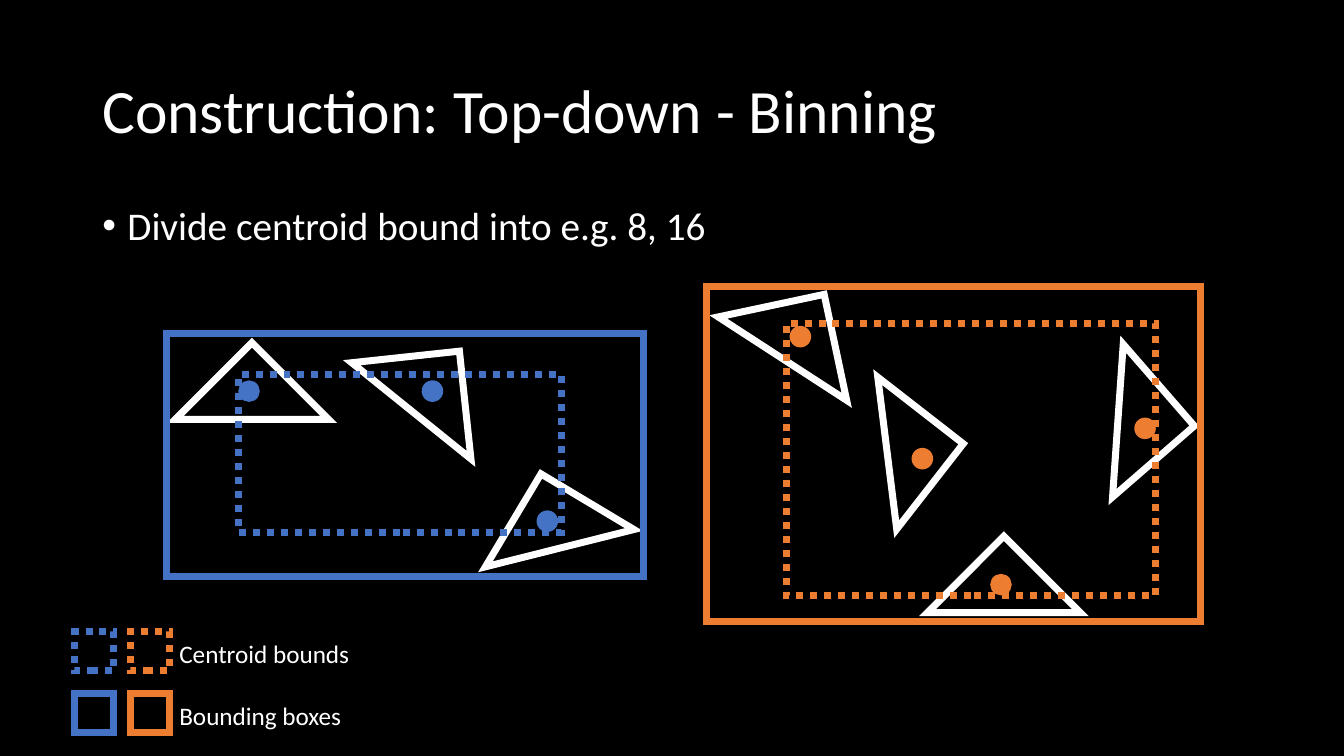
"""Build the slide on top-down construction with binning."""
from lxml.etree import SubElement
from pptx import Presentation
from pptx.dml.color import RGBColor
from pptx.enum.dml import MSO_LINE
from pptx.enum.shapes import MSO_SHAPE
from pptx.enum.text import MSO_ANCHOR
from pptx.oxml.ns import qn
from pptx.util import Pt

BLUE, ORANGE, WHITE, BLACK = "4472C4", "ED7D31", "FFFFFF", "000000"


def shape(kind, box, color, width=5, fill=None, turn=0, dash=None):
    """Add an outlined preset shape."""
    item = slide.shapes.add_shape(kind, *[Pt(v) for v in box])
    item.shadow.inherit = False
    item.rotation = turn
    if fill:
        item.fill.solid()
        item.fill.fore_color.rgb = RGBColor.from_string(fill)
    else:
        item.fill.background()
    item.line.color.rgb = RGBColor.from_string(color)
    item.line.width = Pt(width)
    if dash:
        item.line.dash_style = dash
    SubElement(item.line._get_or_add_ln(), qn("a:miter"), lim="800000")


def write(text, box, size, wrap=True, anchor=MSO_ANCHOR.TOP, space=1, bullet=False):
    """Add a text box with one paragraph."""
    frame = slide.shapes.add_textbox(*[Pt(v) for v in box]).text_frame
    frame.word_wrap = wrap
    frame.vertical_anchor = anchor
    par = frame.paragraphs[0]
    par.text = text
    par.line_spacing = space
    if bullet:
        props = par._p.get_or_add_pPr()
        props.set("marL", str(Pt(18)))
        props.set("indent", str(Pt(-18)))
        SubElement(props, qn("a:buFont"), typeface="Arial")
        SubElement(props, qn("a:buChar"), char="•")
    par.font.size = Pt(size)
    par.font.name = "Calibri"
    par.font.color.rgb = RGBColor.from_string(WHITE)


deck = Presentation()
deck.slide_width, deck.slide_height = Pt(960), Pt(540)
slide = deck.slides.add_slide(deck.slide_layouts[6])
slide.background.fill.solid()
slide.background.fill.fore_color.rgb = RGBColor.from_string(BLACK)

write("Construction: Top-down - Binning", (66, 28.8, 828, 104.4), 44,
      anchor=MSO_ANCHOR.MIDDLE, space=0.9)

meshes = [
    (125.3, 244.8, 0, BLUE, 45.4, 27.4),
    (256.3, 244.8, 38.9, BLUE, 45.4, 27.4),
    (338.4, 337.7, 345.9, BLUE, 45.4, 27.4),
    (606.2, 293, 82.9, ORANGE, 45.4, 27.4),
    (519.1, 205.9, 33, ORANGE, 45.4, 27.4),
    (662.4, 383, 0, ORANGE, 45.4, 27.4),
    (771.1, 275, 94, ORANGE, 39.6, 23.8),
]
for x, y, turn, color, dx, dy in meshes:
    shape(MSO_SHAPE.ISOSCELES_TRIANGLE, (x, y, 109.4, 54.7), WHITE, turn=turn)
    shape(MSO_SHAPE.OVAL, (x + dx, y + dy, 14.4, 14.4), color, 1, color, turn)

bounds = [
    ((118.8, 238.3, 340.6, 173.5), BLUE, None),
    ((504.7, 204.5, 352.8, 239.8), ORANGE, None),
    ((170.6, 267.8, 230.4, 112.3), BLUE, MSO_LINE.ROUND_DOT),
    ((561.6, 231.1, 263.5, 194.4), ORANGE, MSO_LINE.ROUND_DOT),
]
for box, color, dash in bounds:
    shape(MSO_SHAPE.RECTANGLE, box, color, dash=dash)

legend = [
    ("Centroid bounds", 451.2, 137.5, MSO_LINE.ROUND_DOT),
    ("Bounding boxes", 495.4, 131.8, None),
]
for text, y, width, dash in legend:
    for x, color in ((53.3, BLUE), (92.9, ORANGE)):
        shape(MSO_SHAPE.RECTANGLE, (x, y, 28.1, 28.1), color, dash=dash)
    write(text, (121, y + 1.5, width, 28.8), 18, wrap=False)

write("Divide centroid bound into e.g. 8, 16", (66, 144, 828, 342.7), 28,
      space=0.9, bullet=True)

deck.save("out.pptx")
